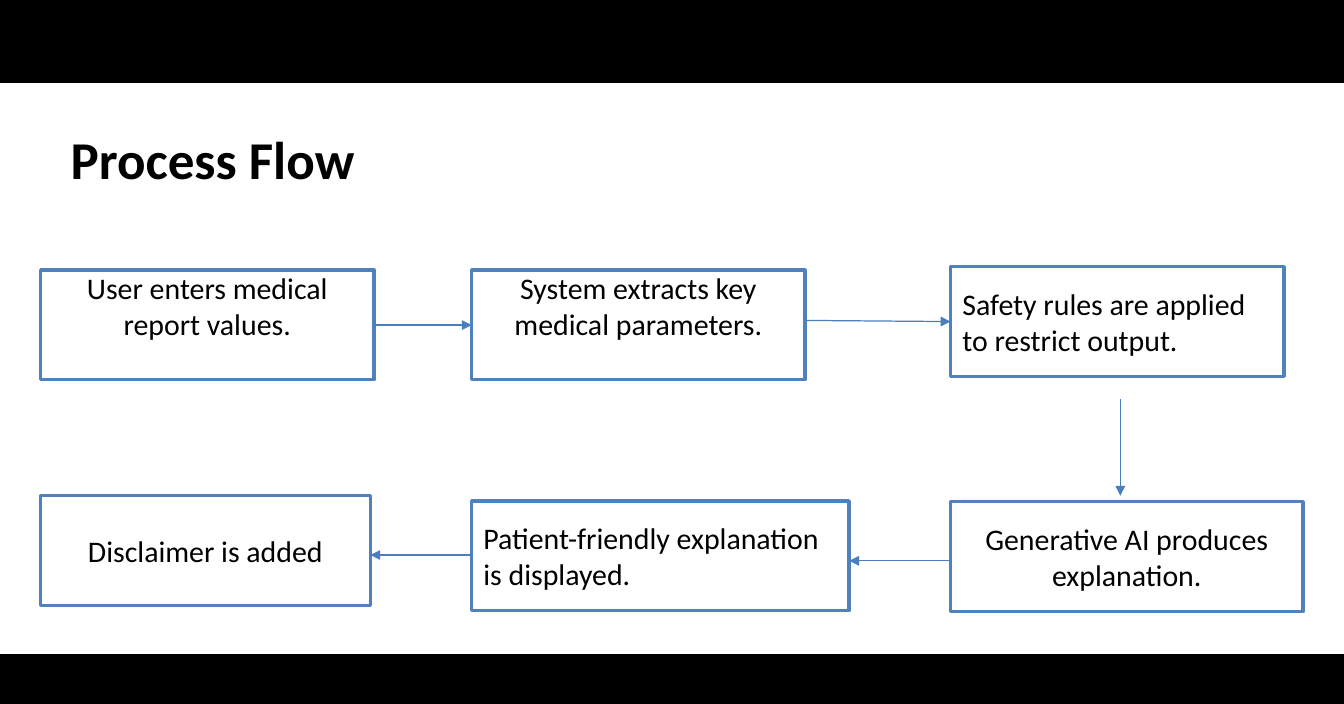
from dataclasses import dataclass

from lxml import etree
from pptx import Presentation
from pptx.dml.color import RGBColor
from pptx.enum import shapes, text
from pptx.oxml import ns
from pptx.util import Pt

# Content: wording, column, top, width, alignment, raised text
TITLE = "Process Flow"
STEPS = {
    "input": ("User enters medical report values.", 0, 162.7, 200.9, "center", True),
    "extract": ("System extracts key medical parameters.", 1, 162.7, 200.9, "center", True),
    "safety": ("Safety rules are applied to restrict output.", 2, 160.6, 200.9, "left", False),
    "generate": ("Generative AI produces explanation.", 2, 302.2, 212.4, "center", False),
    "display": ("Patient-friendly explanation is displayed.", 1, 301.7, 227.5, "left", False),
    "disclaimer": ("Disclaimer is added", 0, 298.6, 198.7, "center", False),
}
# Links between neighbours: from, to, start height, end height
LINKS = [
    ("input", "extract", 195.8, 195.8),
    ("extract", "safety", 193, 193.7),
    ("generate", "display", 337.8, 337.8),
    ("display", "disclaimer", 334.3, 334.3),
]
DOWN_LINK = (675.2, 240.5, 675.2, 298.6)


@dataclass(frozen=True)
class Theme:
    font: str = "Calibri"
    title_size: float = 32
    step_size: float = 18
    ink: RGBColor = RGBColor(0, 0, 0)
    paper: RGBColor = RGBColor(255, 255, 255)
    border: RGBColor = RGBColor(0x4F, 0x81, 0xBD)
    arrow: RGBColor = RGBColor(0x4B, 0x7E, 0xBC)
    border_width: float = 2
    arrow_width: float = 0.75


# Layout
THEME = Theme()
WIDTH, HEIGHT = 810, 424
BANDS = [(0, 50), (394, 30)]
COLUMNS = [24.5, 284.3, 572.9]
STEP_HEIGHT = 66.1
ALIGN = {"left": text.PP_ALIGN.LEFT, "center": text.PP_ALIGN.CENTER}


def add_box(slide, left, top, width, height, fill):
    box = slide.shapes.add_shape(
        shapes.MSO_SHAPE.RECTANGLE, Pt(left), Pt(top), Pt(width), Pt(height))
    box.shadow.inherit = False
    box.fill.solid()
    box.fill.fore_color.rgb = fill
    return box


def write(frame, wording, size, align="left", bold=False):
    frame.word_wrap = True
    frame.text = wording
    paragraph = frame.paragraphs[0]
    paragraph.alignment = ALIGN[align]
    font = paragraph.runs[0].font
    font.name, font.size, font.bold = THEME.font, Pt(size), bold
    font.color.rgb = THEME.ink


def add_step(slide, wording, column, top, width, align, raised):
    step = add_box(slide, COLUMNS[column], top, width, STEP_HEIGHT, THEME.paper)
    step.line.color.rgb = THEME.border
    step.line.width = Pt(THEME.border_width)
    frame = step.text_frame
    write(frame, wording, THEME.step_size, align)
    frame.vertical_anchor = text.MSO_ANCHOR.MIDDLE
    if raised:
        frame.vertical_anchor = text.MSO_ANCHOR.TOP
        frame.margin_top = 0


def add_arrow(slide, x1, y1, x2, y2):
    arrow = slide.shapes.add_connector(
        shapes.MSO_CONNECTOR.STRAIGHT, Pt(x1), Pt(y1), Pt(x2), Pt(y2))
    arrow.line.color.rgb = THEME.arrow
    arrow.line.width = Pt(THEME.arrow_width)
    etree.SubElement(arrow.line._get_or_add_ln(), ns.qn("a:tailEnd"), type="triangle")
    etree.SubElement(arrow._element.spPr, ns.qn("a:effectLst"))


def link_ends(source, target):
    """Return the facing edges of two neighbouring steps."""
    (_, from_col, _, from_width, *_), (_, to_col, _, to_width, *_) = STEPS[source], STEPS[target]
    if from_col < to_col:
        return COLUMNS[from_col] + from_width, COLUMNS[to_col]
    return COLUMNS[from_col], COLUMNS[to_col] + to_width


def main():
    deck = Presentation()
    deck.slide_width, deck.slide_height = Pt(WIDTH), Pt(HEIGHT)
    slide = deck.slides.add_slide(deck.slide_layouts[6])

    # Black bands
    for top, height in BANDS:
        add_box(slide, 0, top, WIDTH, height, THEME.ink).line.fill.background()

    # Title
    title = slide.shapes.add_textbox(Pt(42.5), Pt(76.3), Pt(653.8), Pt(39))
    frame = title.text_frame
    frame.margin_left = frame.margin_right = frame.margin_top = frame.margin_bottom = 0
    write(frame, TITLE, THEME.title_size, bold=True)

    # Steps
    for step in STEPS.values():
        add_step(slide, *step)

    # Arrows
    for source, target, start_y, end_y in LINKS:
        start_x, end_x = link_ends(source, target)
        add_arrow(slide, start_x, start_y, end_x, end_y)
    add_arrow(slide, *DOWN_LINK)

    deck.save("out.pptx")


if __name__ == "__main__":
    main()
